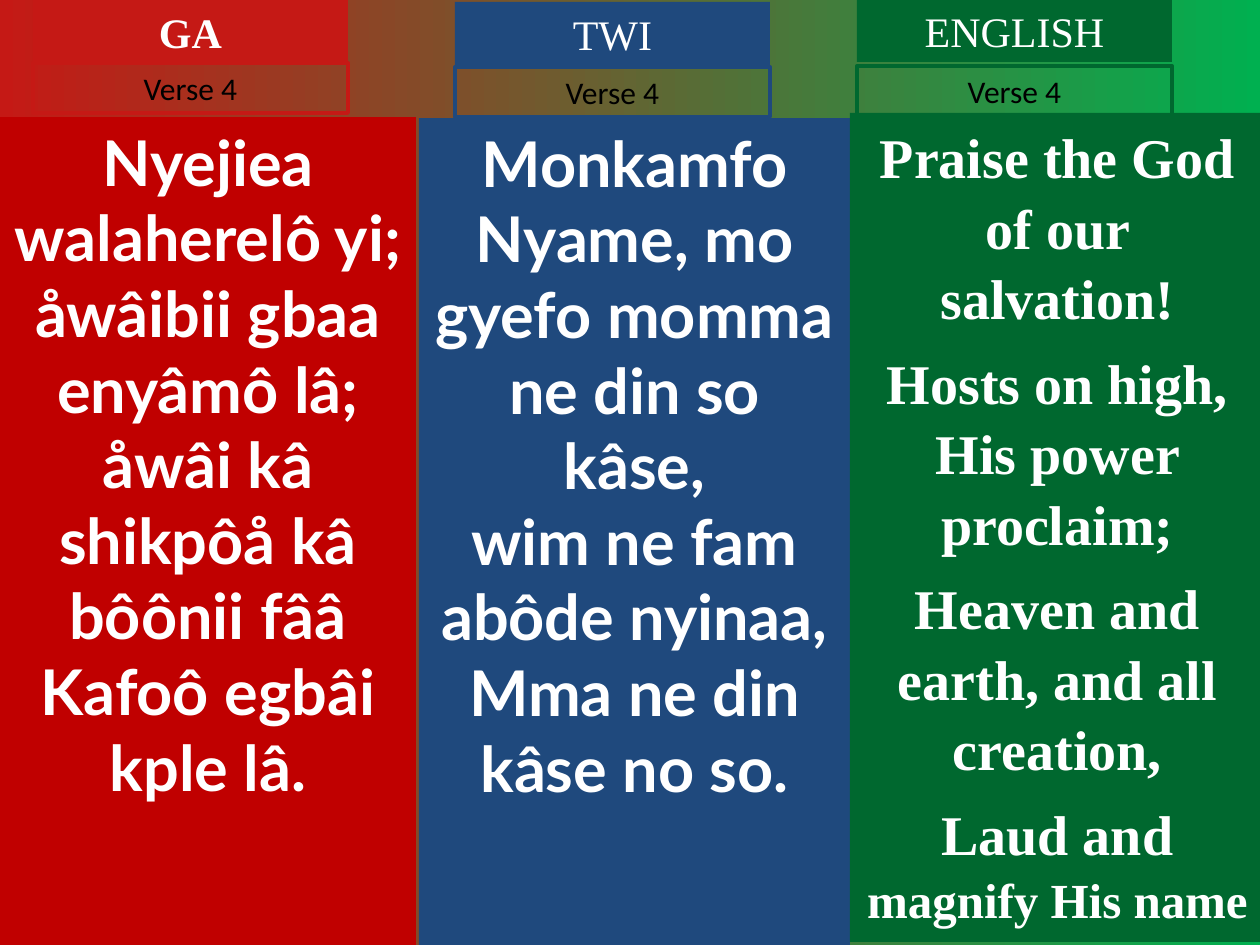
from pptx import Presentation, util as u
from pptx.dml.color import RGBColor
from pptx.enum import shapes, text

PX = 914400 / 126
SERIF = "Times New Roman"
WHITE = "FFFFFF"

GA_VERSE = [
    "Nyejiea walaherelô yi; åwâibii gbaa enyâmô lâ;",
    "åwâi kâ shikpôå kâ bôônii fââ",
    "Kafoô egbâi kple lâ.",
]
TWI_VERSE = [
    "Monkamfo Nyame, mo gyefo momma ne din so kâse,",
    "wim ne fam abôde nyinaa,",
    "Mma ne din kâse no so.",
]
ENGLISH_VERSE = [
    "Praise the God of our salvation!",
    "Hosts on high, His power proclaim;",
    "Heaven and earth, and all creation,",
    "Laud and ",
]


def px(length):
    return u.Emu(round(length * PX))


def color(value):
    return RGBColor.from_string(value)


def style_run(run, size, font, ink, bold=False):
    run.font.size = u.Pt(size)
    run.font.name = font
    run.font.bold = bold
    run.font.color.rgb = color(ink)


def add_box(slide, box, lines, style, fill=None, line=None):
    shape = slide.shapes.add_shape(shapes.MSO_SHAPE.RECTANGLE, *map(px, box))
    shape.shadow.inherit = False
    if fill:
        shape.fill.solid()
        shape.fill.fore_color.rgb = color(fill)
    else:
        shape.fill.background()
    if line:
        shape.line.color.rgb = color(line)
        shape.line.width = u.Pt(2.25)
    else:
        shape.line.fill.background()
    frame = shape.text_frame
    frame.word_wrap = True
    frame.vertical_anchor = text.MSO_ANCHOR.TOP
    frame.text = "\n".join(lines)
    for paragraph in frame.paragraphs:
        paragraph.alignment = text.PP_ALIGN.CENTER
        for run in paragraph.runs:
            style_run(run, *style)
    return shape


def add_heading(slide, left, top, verse_top, language, fill, bold=False):
    title = add_box(slide, (left, top, 315, 63), [language],
                    (24, SERIF, WHITE, bold), fill=fill)
    verse = add_box(slide, (left, verse_top, 315, 50), ["Verse 4"],
                    (18, "Calibri", "000000"), line=fill)
    for shape in (title, verse):
        shape.text_frame.auto_size = text.MSO_AUTO_SIZE.SHAPE_TO_FIT_TEXT


def add_english_verse(slide):
    shape = add_box(slide, (850, 113, 415, 829), ENGLISH_VERSE,
                    (32, SERIF, WHITE, True), fill="00682F")
    paragraphs = shape.text_frame.paragraphs
    for paragraph in paragraphs:
        paragraph.line_spacing = 1.05
    for paragraph in paragraphs[1:]:
        paragraph.space_before = u.Pt(8)
    ending = paragraphs[-1].add_run()
    ending.text = "magnify His name"
    style_run(ending, 28, SERIF, WHITE, True)


def set_background(slide):
    fill = slide.background.fill
    fill.gradient()
    fill.gradient_angle = 0
    for stop, value in zip(fill.gradient_stops, ("C51915", "00B050")):
        stop.color.rgb = color(value)


def main():
    presentation = Presentation()
    presentation.slide_width, presentation.slide_height = px(1260), px(945)
    slide = presentation.slides.add_slide(presentation.slide_layouts[6])
    set_background(slide)
    lato = (36, "Lato", WHITE, True)
    add_box(slide, (0, 117, 416, 828), GA_VERSE, lato, fill="C00000")
    add_box(slide, (419, 118, 431, 827), TWI_VERSE, lato, fill="1F497D")
    add_heading(slide, 33, 0, 63, "GA", "C51915", bold=True)
    add_heading(slide, 455, 2, 67, "TWI", "1F497D")
    add_english_verse(slide)
    add_heading(slide, 857, -1, 66, "ENGLISH", "00682F")
    presentation.save("out.pptx")


if __name__ == "__main__":
    main()
